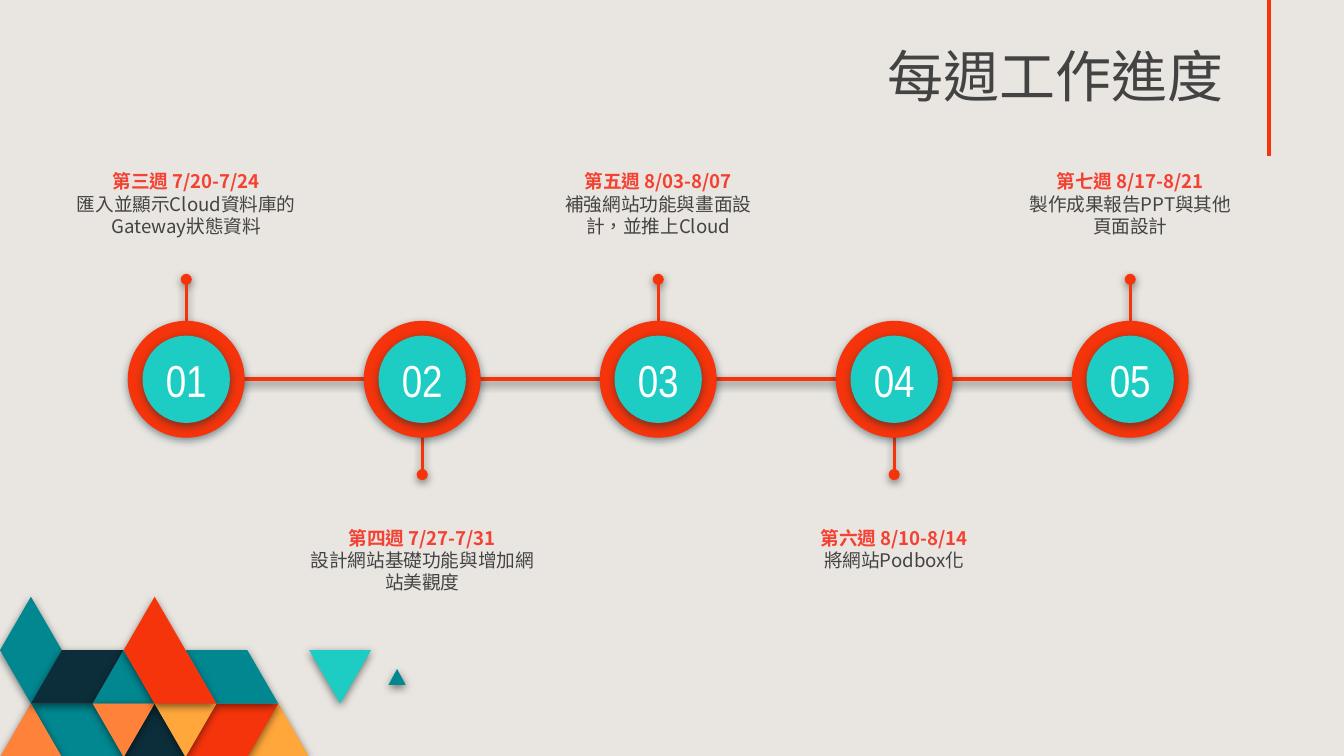
from dataclasses import dataclass
from typing import Any, Optional

from lxml.etree import SubElement
from pptx import Presentation
from pptx.dml.color import RGBColor
from pptx.enum.shapes import MSO_CONNECTOR, MSO_SHAPE
from pptx.enum.text import MSO_ANCHOR, MSO_AUTO_SIZE, PP_ALIGN
from pptx.oxml.ns import qn
from pptx.util import Cm, Pt

RED = "F5340B"
CORAL = "F54132"
TURQUOISE = "1DCDC3"
TEAL = "018790"
NAVY = "0C2E3A"
ORANGE = "FF823B"
AMBER = "FFA73B"
BLACK = "000000"
WHITE = "FFFFFF"
CHARCOAL = "434343"
BACKGROUND = "E9E6E1"
TEXT_FONT = "Noto Sans CJK SC"
NUMBER_FONT = "Arial Narrow"

FIRST_CENTER = 3.52
STEP_SPACING = 4.46
TIMELINE_Y = 7.17
OUTER_DIAMETER = 2.21
INNER_DIAMETER = 1.65

MOSAIC_TOP = 11.28
MOSAIC_COLUMN = 5.26 / 9
MOSAIC_ROW = 1.01


@dataclass
class Tile:
    color: str
    points: list[tuple[float, float]]


@dataclass
class Week:
    heading: str
    task: str
    caption_width: float
    above: bool


TILES = [
    Tile(AMBER, [(10, 3), (9, 2), (8, 3)]),
    Tile(RED, [(9, 2), (7, 2), (6, 3), (8, 3)]),
    Tile(TEAL, [(4, 3), (3, 2), (1, 2), (2, 3)]),
    Tile(ORANGE, [(2, 3), (1, 2), (0, 3)]),
    Tile(NAVY, [(6, 3), (5, 2), (4, 3)]),
    Tile(TEAL, [(9, 2), (8, 1), (6, 1), (7, 2)]),
    Tile(TEAL, [(13.12, 1.65), (12.84, 1.35), (12.56, 1.65)]),
    Tile(TURQUOISE, [(12, 1), (10, 1), (11, 2)]),
    Tile(TEAL, [(2, 1), (1, 0), (0, 1), (1, 2)]),
    Tile(NAVY, [(4, 1), (2, 1), (1, 2), (3, 2)]),
    Tile(TEAL, [(5, 2), (4, 1), (3, 2)]),
    Tile(ORANGE, [(5, 2), (3, 2), (4, 3)]),
    Tile(AMBER, [(7, 2), (5, 2), (6, 3)]),
    Tile(RED, [(7, 2), (5, 0), (4, 1), (5, 2)]),
]

WEEKS = [
    Week("第三週 7/20-7/24", "匯入並顯示Cloud資料庫的Gateway狀態資料", 5.72, True),
    Week("第四週 7/27-7/31", "設計網站基礎功能與增加網站美觀度", 5.05, False),
    Week("第五週 8/03-8/07", "補強網站功能與畫面設計，並推上Cloud", 4.47, True),
    Week("第六週 8/10-8/14", "將網站Podbox化", 4.47, False),
    Week("第七週 8/17-8/21", "製作成果報告PPT與其他頁面設計", 4.52, True),
]


def rgb(color: str) -> RGBColor:
    return RGBColor.from_string(color)


def set_effects(shape: Any, shadow_color: Optional[str]) -> None:
    effects = SubElement(shape._element.spPr, qn("a:effectLst"))
    if shadow_color:
        shadow = SubElement(effects, qn("a:outerShdw"), blurRad=str(Pt(4.5)), dist=str(Pt(1.5)),
                            dir="5400000", algn="bl", rotWithShape="0")
        color = SubElement(shadow, qn("a:srgbClr"), val=shadow_color)
        SubElement(color, qn("a:alpha"), val="50000")


def fill_shape(shape: Any, color: str, shadow_color: str) -> None:
    shape.fill.solid()
    shape.fill.fore_color.rgb = rgb(color)
    shape.line.fill.background()
    set_effects(shape, shadow_color)


def add_line(shapes: Any, start: tuple[float, float], end: tuple[float, float], width: float,
             shadow_color: Optional[str] = None, oval_end: bool = False) -> None:
    connector = shapes.add_connector(MSO_CONNECTOR.STRAIGHT, Cm(start[0]), Cm(start[1]), Cm(end[0]), Cm(end[1]))
    connector.line.color.rgb = rgb(RED)
    connector.line.width = Pt(width)
    if oval_end:
        SubElement(connector.line._get_or_add_ln(), qn("a:tailEnd"), type="oval")
    set_effects(connector, shadow_color)


def add_tile(shapes: Any, tile: Tile) -> None:
    points = [(Cm(column * MOSAIC_COLUMN), Cm(MOSAIC_TOP + row * MOSAIC_ROW)) for column, row in tile.points]
    builder = shapes.build_freeform(*points[0], scale=1.0)
    builder.add_line_segments(points[1:], close=True)
    fill_shape(builder.convert_to_shape(), tile.color, BLACK)


def add_circle(shapes: Any, center: float, diameter: float, color: str) -> None:
    circle = shapes.add_shape(MSO_SHAPE.OVAL, Cm(center - diameter / 2), Cm(TIMELINE_Y - diameter / 2),
                              Cm(diameter), Cm(diameter))
    fill_shape(circle, color, NAVY)


def format_frame(frame: Any, anchor: MSO_ANCHOR) -> None:
    frame.word_wrap = True
    frame.auto_size = MSO_AUTO_SIZE.NONE
    frame.vertical_anchor = anchor
    frame.margin_left = frame.margin_right = frame.margin_top = frame.margin_bottom = Cm(0.25)


def format_paragraph(paragraph: Any, alignment: PP_ALIGN, font_name: str, size: float, color: str) -> None:
    paragraph.alignment = alignment
    paragraph.font.size = Pt(size)
    paragraph.font.color.rgb = rgb(color)
    paragraph.font.name = font_name
    paragraph._p.pPr.set("hangingPunct", "0")
    properties = paragraph._p.pPr.find(qn("a:defRPr"))
    SubElement(properties, qn("a:ea"), typeface=font_name)


def add_chinese_run(paragraph: Any, text: str) -> Any:
    run = paragraph.add_run()
    run.text = text
    run._r.get_or_add_rPr().set("lang", "zh-TW")
    return run


def add_centered_box(shapes: Any, center: float, top: float, width: float, height: float,
                     anchor: MSO_ANCHOR) -> Any:
    box = shapes.add_textbox(Cm(center - width / 2), Cm(top), Cm(width), Cm(height))
    format_frame(box.text_frame, anchor)
    return box.text_frame.paragraphs[0]


def add_week(slide: Any, index: int, week: Week) -> None:
    shapes = slide.shapes.add_group_shape().shapes
    center = FIRST_CENTER + index * STEP_SPACING
    direction = -1 if week.above else 1

    paragraph = add_centered_box(shapes, center, 2.97 if week.above else 9.7, week.caption_width, 1.91,
                                 MSO_ANCHOR.TOP)
    format_paragraph(paragraph, PP_ALIGN.CENTER, TEXT_FONT, 10, CHARCOAL)
    paragraph.space_after = Pt(16)
    heading = add_chinese_run(paragraph, week.heading)
    heading.font.bold = True
    heading.font.color.rgb = rgb(CORAL)
    paragraph.add_line_break()
    add_chinese_run(paragraph, week.task)

    pin_start = TIMELINE_Y + direction * INNER_DIAMETER / 2
    pin_end = 5.28 if week.above else 8.97
    add_line(shapes, (center, pin_start), (center, pin_end), 1.5, BLACK, oval_end=True)
    add_circle(shapes, center, OUTER_DIAMETER, RED)
    add_circle(shapes, center, INNER_DIAMETER, TURQUOISE)

    number = add_centered_box(shapes, center, TIMELINE_Y - 0.62, 1.98, 1.24, MSO_ANCHOR.MIDDLE)
    number.text = f"{index + 1:02d}"
    format_paragraph(number, PP_ALIGN.CENTER, NUMBER_FONT, 24, WHITE)


def add_title(slide: Any, text: str) -> None:
    title = slide.shapes.title
    title.left, title.top, title.width, title.height = Cm(16.37), Cm(0.71), Cm(7.01), Cm(1.6)
    format_frame(title.text_frame, MSO_ANCHOR.BOTTOM)
    paragraph = title.text_frame.paragraphs[0]
    add_chinese_run(paragraph, text)
    format_paragraph(paragraph, PP_ALIGN.RIGHT, TEXT_FONT, 30, CHARCOAL)


def main() -> None:
    presentation = Presentation()
    presentation.slide_width, presentation.slide_height = Cm(25.4), Cm(14.29)
    slide = presentation.slides.add_slide(presentation.slide_layouts[5])
    slide.background.fill.solid()
    slide.background.fill.fore_color.rgb = rgb(BACKGROUND)

    mosaic = slide.shapes.add_group_shape().shapes
    for tile in TILES:
        add_tile(mosaic, tile)
    add_line(slide.shapes, (23.98, 0), (23.98, 2.95), 2.25)
    add_title(slide, "每週工作進度")

    last_center = FIRST_CENTER + (len(WEEKS) - 1) * STEP_SPACING
    add_line(slide.shapes, (FIRST_CENTER - 1, TIMELINE_Y), (last_center + 1, TIMELINE_Y), 2.25, BLACK)
    for index, week in enumerate(WEEKS):
        add_week(slide, index, week)
    presentation.save("out.pptx")


if __name__ == "__main__":
    main()
